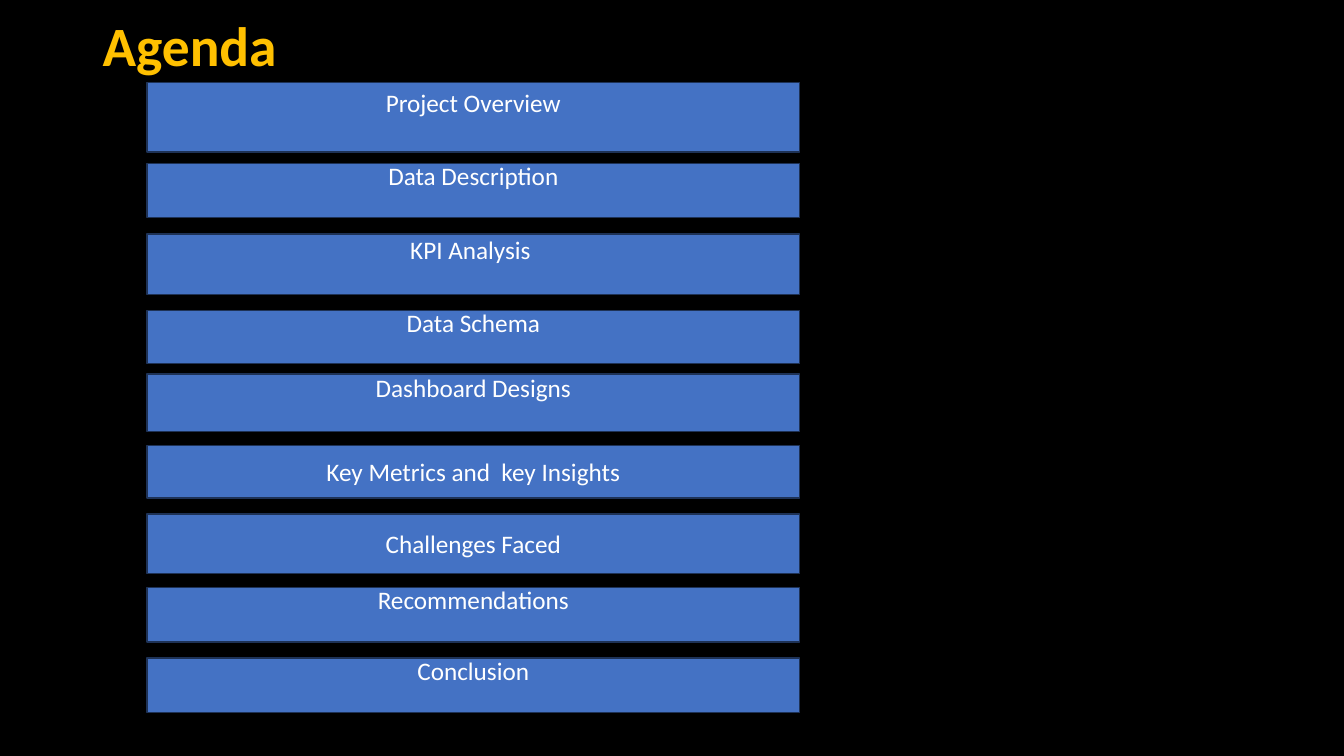
import dataclasses

import pptx
import pptx.dml.color
import pptx.enum.shapes
import pptx.enum.text
import pptx.util

Inches = pptx.util.Inches
Pt = pptx.util.Pt
ALIGN = pptx.enum.text.PP_ALIGN


@dataclasses.dataclass(frozen=True)
class Theme:
    font: str = "Calibri"
    back: str = "000000"
    title: str = "FFC000"
    bar: str = "4472C4"
    edge: str = "1E3256"
    text: str = "FFFFFF"
    title_size: float = 39.6
    bar_size: float = 18


class Deck:
    def __init__(self, theme):
        self.theme = theme
        self.show = pptx.Presentation()
        self.show.slide_width = Inches(13.33)
        self.show.slide_height = Inches(7.5)
        self.slide = self.show.slides.add_slide(self.show.slide_layouts[6])
        self.paint(self.slide.background.fill, theme.back)

    def color(self, code):
        return pptx.dml.color.RGBColor.from_string(code)

    def paint(self, fill, code):
        fill.solid()
        fill.fore_color.rgb = self.color(code)

    def label(self, shape, text, size, code, align, bold=False):
        frame = shape.text_frame
        frame.word_wrap = True
        frame.vertical_anchor = pptx.enum.text.MSO_ANCHOR.MIDDLE
        para = frame.paragraphs[0]
        para.alignment = align
        run = para.add_run()
        run.text = text
        run.font.name = self.theme.font
        run.font.size = Pt(size)
        run.font.bold = bold
        run.font.color.rgb = self.color(code)
        return para

    def title(self, text, left, top, width, height):
        box = self.slide.shapes.add_textbox(
            Inches(left), Inches(top), Inches(width), Inches(height))
        para = self.label(box, text, self.theme.title_size, self.theme.title,
                          ALIGN.LEFT, bold=True)
        para.line_spacing = 0.9

    def bar(self, text, left, top, width, height, raised):
        """Draw an agenda bar; a raised label sits half a line above centre."""
        shape = self.slide.shapes.add_shape(
            pptx.enum.shapes.MSO_SHAPE.RECTANGLE,
            Inches(left), Inches(top), Inches(width), Inches(height))
        shape.shadow.inherit = False
        self.paint(shape.fill, self.theme.bar)
        self.paint(shape.line.fill, self.theme.edge)
        shape.line.width = Pt(1)
        self.label(shape, text, self.theme.bar_size, self.theme.text, ALIGN.CENTER)
        if raised:
            shape.text_frame.margin_top = 0
            shape.text_frame.margin_bottom = Inches(0.3)


# Label, top, height, raised
AGENDA = [
    ("Project Overview", 0.82, 0.69, True),
    ("Data Description", 1.62, 0.54, True),
    ("KPI Analysis ", 2.32, 0.6, True),
    ("Data Schema", 3.08, 0.53, True),
    ("Dashboard Designs", 3.71, 0.57, True),
    ("Key Metrics and  key Insights", 4.42, 0.52, False),
    ("Challenges Faced", 5.1, 0.59, False),
    ("Recommendations", 5.83, 0.54, True),
    ("Conclusion", 6.53, 0.54, True),
]


def main():
    deck = Deck(Theme())
    deck.title("Agenda", 0.92, 0.15, 11.5, 0.67)
    for text, top, height, raised in AGENDA:
        deck.bar(text, 1.46, top, 6.47, height, raised)
    deck.show.save("out.pptx")


if __name__ == "__main__":
    main()
